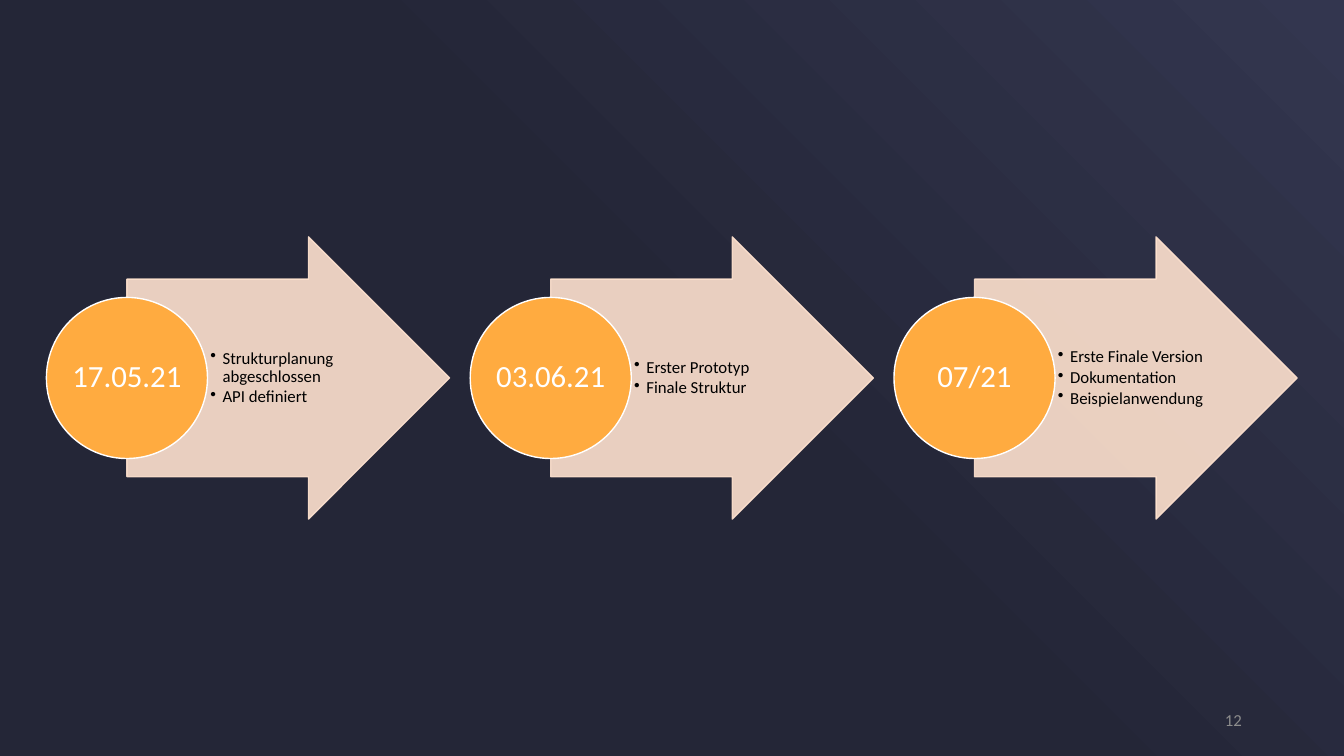
from copy import deepcopy

from lxml import etree
from pptx import Presentation
from pptx.dml.color import RGBColor
from pptx.enum.shapes import MSO_SHAPE
from pptx.enum.text import MSO_ANCHOR, PP_ALIGN
from pptx.oxml.ns import qn
from pptx.util import Cm, Pt

NIGHT = RGBColor(0x24, 0x26, 0x37)
DUSK = RGBColor(0x33, 0x36, 0x4F)
PEACH = RGBColor(0xFF, 0xE2, 0xCF)
ORANGE = RGBColor(0xFF, 0xAB, 0x40)
WHITE = RGBColor(0xFF, 0xFF, 0xFF)
BLACK = RGBColor(0, 0, 0)
GRAY = RGBColor(0x8C, 0x8C, 0x8C)
ARROW, CIRCLE = MSO_SHAPE.RIGHT_ARROW, MSO_SHAPE.OVAL
MIDDLE = MSO_ANCHOR.MIDDLE
LEFT, CENTER, RIGHT = PP_ALIGN.LEFT, PP_ALIGN.CENTER, PP_ALIGN.RIGHT

PAGE_WIDTH, PAGE_HEIGHT = 33.87, 19.05
MIDLINE = PAGE_HEIGHT / 2
FIRST_LEFT, PITCH = 1.17, 10.68
DIAMETER = 4.06
ARROW_WIDTH, ARROW_HEIGHT, SHAFT = 8.13, 7.11, 0.7
MILESTONES = [
    ("17.05.21", ["Strukturplanung abgeschlossen", "API definiert"]),
    ("03.06.21", ["Erster Prototyp", "Finale Struktur"]),
    ("07/21", ["Erste Finale Version", "Dokumentation", "Beispielanwendung"]),
]


class SlideBuilder:
    font = "Calibri"

    def __init__(self, slide):
        self.slide = slide

    def background(self):
        fill = self.slide.background.fill
        fill.gradient()
        fill.gradient_angle = 45
        first = self.slide.element.xpath(".//a:gs")[0]
        first.addnext(deepcopy(first))
        stops = zip(fill.gradient_stops, (0, 0.51, 1), (NIGHT, NIGHT, DUSK))
        for stop, position, color in stops:
            stop.position = position
            stop.color.rgb = color

    def shape(self, kind, left, width, height, color, line_color, opacity=100):
        shape = self.slide.shapes.add_shape(
            kind, Cm(left), Cm(MIDLINE - height / 2), Cm(width), Cm(height))
        shape.shadow.inherit = False
        shape.fill.solid()
        shape.fill.fore_color.rgb = color
        shape.line.color.rgb = line_color
        shape.line.width = Pt(1)
        if opacity < 100:
            for tint in shape.element.spPr.iter(qn("a:srgbClr")):
                etree.SubElement(tint, qn("a:alpha"), val=str(opacity * 1000))
        return shape

    def box(self, left, top, width, height):
        return self.slide.shapes.add_textbox(
            Cm(left), Cm(top), Cm(width), Cm(height))

    def set_text(self, shape, lines, size, color, align, inset, wrap=True):
        frame = shape.text_frame
        frame.text = "\n".join(lines)
        frame.word_wrap = wrap
        frame.vertical_anchor = MIDDLE
        frame.margin_left = frame.margin_right = Cm(inset)
        frame.margin_top = frame.margin_bottom = Cm(0.04)
        for para in frame.paragraphs:
            para.alignment = align
            para.line_spacing = 0.9
            for span in para.runs:
                span.font.name = self.font
                span.font.size = Pt(size)
                span.font.color.rgb = color

    def bullets(self, shape):
        for para in shape.text_frame.paragraphs:
            para.space_after = Pt(1.8)
            settings = para._p.get_or_add_pPr()
            settings.set("marL", str(Cm(0.31)))
            settings.set("indent", str(Cm(-0.31)))
            etree.SubElement(settings, qn("a:buChar"), char="•")

    def milestone(self, left, date, goals):
        arrow = self.shape(ARROW, left + DIAMETER / 2, ARROW_WIDTH,
                           ARROW_HEIGHT, PEACH, PEACH, opacity=90)
        arrow.adjustments[0] = SHAFT
        height = ARROW_HEIGHT * SHAFT
        box = self.box(left + DIAMETER, MIDLINE - height / 2, 3.96, height)
        self.set_text(box, goals, 12, BLACK, LEFT, 0.07)
        self.bullets(box)
        circle = self.shape(CIRCLE, left, DIAMETER, DIAMETER, ORANGE, WHITE)
        self.set_text(circle, [date], 22, WHITE, CENTER, 0.04, wrap=False)

    def page_number(self, number):
        box = self.box(23.93, 17.65, 7.62, 1.02)
        self.set_text(box, [number], 12, GRAY, RIGHT, 0.25)


deck = Presentation()
deck.slide_width, deck.slide_height = Cm(PAGE_WIDTH), Cm(PAGE_HEIGHT)
page = SlideBuilder(deck.slides.add_slide(deck.slide_layouts[6]))
page.background()
for index, (date, goals) in enumerate(MILESTONES):
    page.milestone(FIRST_LEFT + index * PITCH, date, goals)
page.page_number("12")
deck.save("out.pptx")
